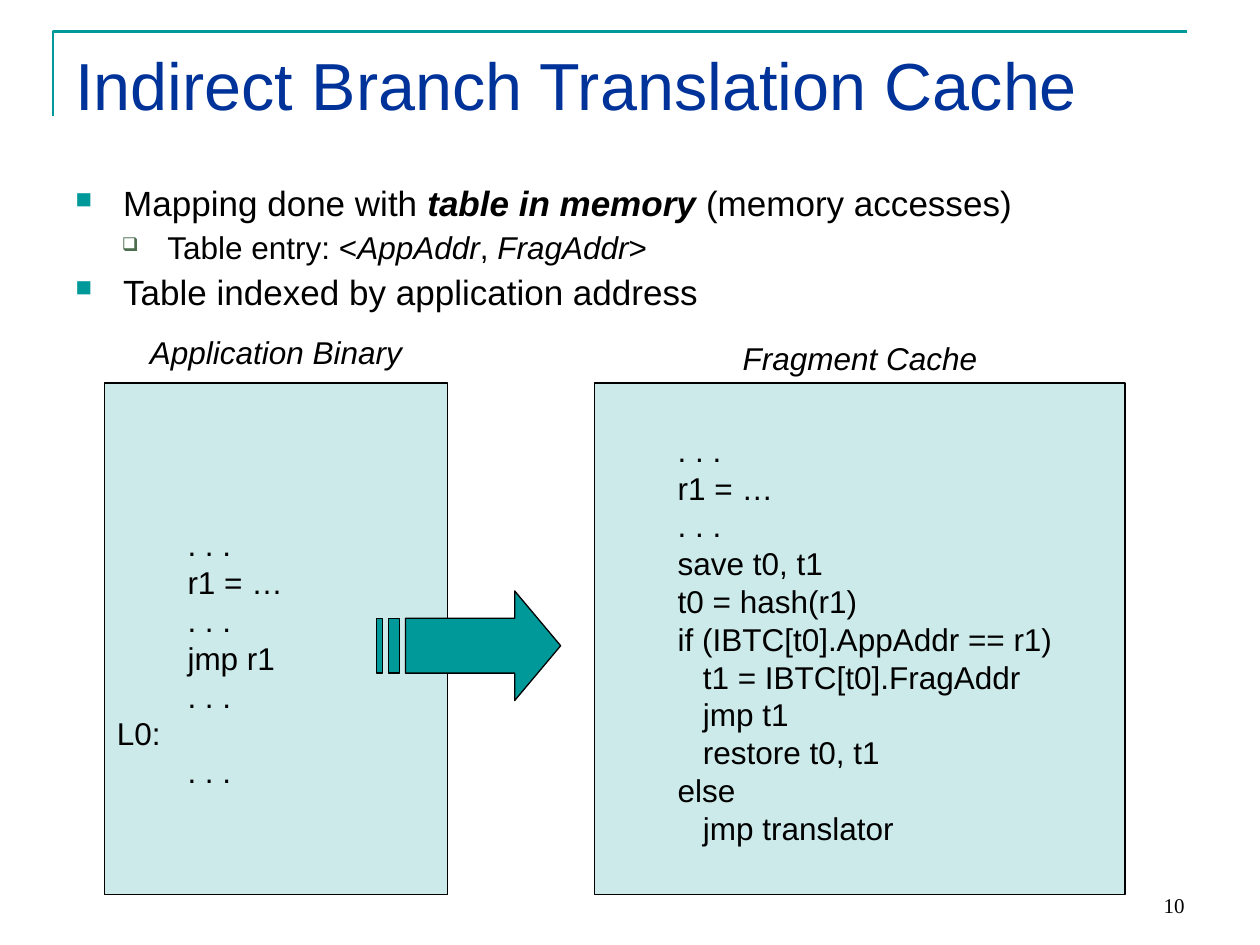
from dataclasses import dataclass
from lxml.etree import SubElement
from pptx import Presentation
from pptx.dml.color import RGBColor
from pptx.enum.shapes import MSO_SHAPE
from pptx.enum.text import MSO_ANCHOR, PP_ALIGN
from pptx.oxml.ns import qn
from pptx.util import Inches, Pt


@dataclass(frozen=True)
class Theme:
    teal: str = "009999"
    navy: str = "003399"
    moss: str = "4C6D4E"
    black: str = "000000"
    sans: str = "Arial"
    serif: str = "Times New Roman"
    title: float = 38
    body: float = 20
    code: float = 18
    foot: float = 12
    rule: float = 1.5
    edge: float = 0.75


@dataclass(frozen=True)
class Box:
    left: float
    top: float
    width: float
    height: float

    def spot(self, x, y):
        return Inches(self.left + x * self.width), Inches(self.top + y * self.height)

    def place(self):
        return [Inches(n) for n in (self.left, self.top, self.width, self.height)]


theme = Theme()


def tint(name):
    return RGBColor.from_string(name)


def add_run(para, text, size, color=theme.black, face=theme.sans, bold=False, slant=False):
    run = para.add_run()
    run.text = text
    font = run.font
    font.size, font.name = Pt(size), face
    font.bold, font.italic = bold, slant
    font.color.rgb = tint(color)


def add_text(slide, box, anchor=MSO_ANCHOR.TOP, align=PP_ALIGN.LEFT):
    frame = slide.shapes.add_textbox(*box.place()).text_frame
    frame.word_wrap = True
    frame.vertical_anchor = anchor
    frame.paragraphs[0].alignment = align
    return frame


def next_para(frame, index):
    return frame.add_paragraph() if index else frame.paragraphs[0]


def indent(para, left, hang=0):
    props = para._p.get_or_add_pPr()
    props.set("marL", str(Inches(left)))
    props.set("indent", str(-Inches(hang)))
    return props


def outline(slide, box, paths, closed):
    build = None
    for path in paths:
        first, *rest = [box.spot(x, y) for x, y in path]
        if build is None:
            build = slide.shapes.build_freeform(*first, scale=1.0)
        else:
            build.move_to(*first)
        build.add_line_segments(rest, close=closed)
    shape = build.convert_to_shape()
    shape.shadow.inherit = False
    return shape


def paint(shape, fill, line, width):
    if fill:
        shape.fill.solid()
        shape.fill.fore_color.rgb = tint(fill)
    else:
        shape.fill.background()
    shape.line.color.rgb = tint(line)
    shape.line.width = Pt(width)


def heading(slide, box, text):
    corner = Box(box.left - 0.08, box.top - 0.05, box.width, 0.67)
    rule = outline(slide, corner, [[(0, 1), (0, 0), (1, 0)]], False)
    paint(rule, None, theme.teal, theme.rule)
    frame = add_text(slide, box)
    add_run(frame.paragraphs[0], text, theme.title, theme.navy)


def bullets(slide, box, items):
    levels = [
        (theme.body, 0.38, 0.38, 5, "■", theme.teal, 65),
        (theme.code, 0.73, 0.36, 4.5, "❑", theme.moss, 60),
    ]
    frame = add_text(slide, box)
    for index, (level, runs) in enumerate(items):
        size, left, hang, gap, mark, color, share = levels[level]
        para = next_para(frame, index)
        para.level = level
        para.line_spacing, para.space_before = 0.9, Pt(gap)
        props = indent(para, left, hang)
        SubElement(SubElement(props, qn("a:buClr")), qn("a:srgbClr"), val=color)
        SubElement(props, qn("a:buSzPct"), val=str(share * 1000))
        SubElement(props, qn("a:buChar"), char=mark)
        for text, bold, slant in runs:
            add_run(para, text, size, bold=bold, slant=slant)


def panel(slide, box, label, rise, lines, drop=0):
    shape = slide.shapes.add_shape(MSO_SHAPE.RECTANGLE, *box.place())
    shape.shadow.inherit = False
    paint(shape, theme.teal, theme.black, theme.edge)
    color = shape.fill._xPr.find(qn("a:solidFill"))[0]
    SubElement(color, qn("a:alpha"), val="20000")
    frame = shape.text_frame
    frame.word_wrap = True
    frame.vertical_anchor = MSO_ANCHOR.MIDDLE
    frame.margin_top = Inches(0.05 + drop)
    for index, (depth, text) in enumerate(lines):
        para = next_para(frame, index)
        para.alignment = PP_ALIGN.LEFT
        indent(para, (0, 0.56, 0.76)[depth])
        add_run(para, text, theme.code)
    title = add_text(slide, Box(box.left, box.top - rise, box.width, 0.4), align=PP_ALIGN.CENTER)
    add_run(title.paragraphs[0], label, theme.code, slant=True)


def arrow(slide, box):
    high, low, neck = 0.25, 0.75, 0.75
    bars = [[(a / 32, high), (b / 32, high), (b / 32, low), (a / 32, low)]
            for a, b in ((0, 1), (2, 4))]
    head = [(5 / 32, high), (neck, high), (neck, 0), (1, 0.5),
            (neck, 1), (neck, low), (5 / 32, low)]
    paint(outline(slide, box, [head, *bars], True), theme.teal, theme.black, theme.edge)


def footer(slide, box, text):
    frame = add_text(slide, box, MSO_ANCHOR.BOTTOM, PP_ALIGN.RIGHT)
    add_run(frame.paragraphs[0], text, theme.foot, face=theme.serif)


def main():
    deck = Presentation()
    deck.slide_width, deck.slide_height = Inches(10), Inches(7.5)
    slide = deck.slides.add_slide(deck.slide_layouts[6])
    heading(slide, Box(0.5, 0.3, 9, 1.25), "Indirect Branch Translation Cache")
    bullets(slide, Box(0.5, 1.43, 9, 1.16), [
        (0, [("Mapping done with ", False, False), ("table in memory ", True, True),
             ("(memory accesses)", False, False)]),
        (1, [("Table entry: <", False, False), ("AppAddr", False, True), (", ", False, False),
             ("FragAddr", False, True), (">", False, False)]),
        (0, [("Table indexed by application address", False, False)]),
    ])
    panel(slide, Box(0.83, 3.04, 2.72, 4.06), "Application Binary", 0.45, [
        (1, ". . ."), (1, "r1 = …"), (1, ". . ."), (1, "jmp r1"),
        (1, ". . ."), (0, "L0:"), (1, ". . ."),
    ], drop=0.3)
    panel(slide, Box(4.72, 3.04, 4.21, 4.06), "Fragment Cache", 0.4, [
        (1, ". . ."), (1, "r1 = …"), (1, ". . ."), (1, "save t0, t1"),
        (1, "t0 = hash(r1)"), (1, "if (IBTC[t0].AppAddr == r1)"),
        (2, "t1 = IBTC[t0].FragAddr"), (2, "jmp t1"), (2, "restore t0, t1"),
        (1, "else"), (2, "jmp translator"),
    ])
    arrow(slide, Box(2.99, 4.69, 1.46, 0.87))
    footer(slide, Box(7.17, 6.83, 2.33, 0.5), "10")
    deck.save("out.pptx")


if __name__ == "__main__":
    main()
